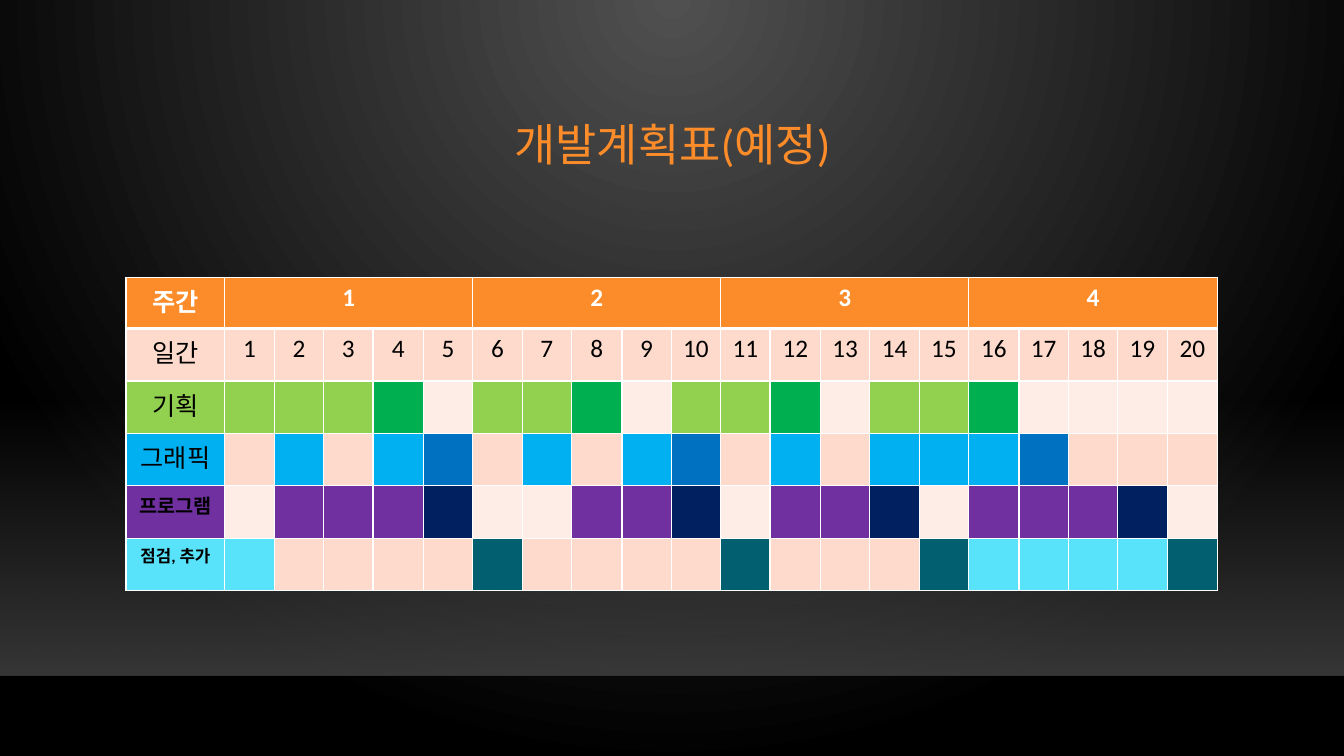
from lxml.etree import SubElement
from pptx import Presentation
from pptx.dml.color import RGBColor
from pptx.enum.shapes import MSO_CONNECTOR, MSO_SHAPE
from pptx.enum.text import MSO_ANCHOR, PP_ALIGN
from pptx.oxml.ns import qn
from pptx.util import Pt

PX = 9144  # 100 px to the inch
W, H = 1333, 750
FONT = "Calibri"
ORANGE, WHITE, BLACK = "FB8C29", "FFFFFF", "000000"
BANDS = ["FDDACB", "FEEDE7"]
DAYS, WEEKS = 20, 4
# label, size, bold, work colour, milestone colour, days (o work, # milestone)
TASKS = [
    ("기획", 18, False, "92D050", "00B050", "ooo#.oo#.oo#.oo#...."),
    ("그래픽", 18, False, "00B0F0", "0070C0", ".o.o#.o.o#.o.ooo#..."),
    ("프로그램", 14, True, "7030A0", "002060", ".ooo#..oo#.oo#.ooo#."),
    ("점검, 추가", 12, True, "58E3FB", "025F6F", "o....#....#...#oooo#"),
]


def px(*values):
    return [v * PX for v in values]


def rgb(hex_color):
    return RGBColor.from_string(hex_color)


def split(total, n):
    """Share a whole length among n parts, each a whole number."""
    return [total * (i + 1) // n - total * i // n for i in range(n)]


def set_gradient(fill, colors):
    fill.gradient()
    for stop, color in zip(fill.gradient_stops, colors):
        stop.color.rgb = rgb(color)


def set_alpha(element, percents):
    """Give the RGB colours in element these opacities, in order."""
    for clr, percent in zip(list(element.iter(qn("a:srgbClr"))), percents):
        SubElement(clr, qn("a:alpha"), val=str(percent * 1000))


def write(tf, text, size, color, bold=False):
    p = tf.paragraphs[0]
    p.text = text
    p.alignment = PP_ALIGN.CENTER
    p.font.name, p.font.size, p.font.bold = FONT, Pt(size), bold
    p.font.color.rgb = rgb(color)
    return p


def add_background(s):
    set_gradient(s.background.fill, ["505050", BLACK])
    lin = next(s.element.iter(qn("a:lin")))
    grad = lin.getparent()
    grad.remove(lin)
    circle = SubElement(grad, qn("a:path"), path="circle")
    SubElement(circle, qn("a:fillToRect"), l="43000", t="0", r="43000", b="100000")


def add_floor(s):
    sp = s.shapes.add_shape(MSO_SHAPE.RECTANGLE, *px(0, 396, W, 274))
    sp.shadow.inherit = False
    set_gradient(sp.fill, ["454545", "454545"])
    sp.fill.gradient_angle = 270
    set_alpha(sp.element, [0, 80])
    sp.line.fill.background()

    edge = s.shapes.add_connector(MSO_CONNECTOR.STRAIGHT, *px(0, 671, W, 671))
    edge.line.color.rgb = rgb("000001")
    edge.line.width = Pt(1)
    set_alpha(edge.element, [20])
    SubElement(edge.element.spPr, qn("a:effectLst"))


def add_title(s, text):
    tf = s.shapes.add_textbox(*px(159, 88, 1016, 115)).text_frame
    tf.word_wrap = True
    tf.vertical_anchor = MSO_ANCHOR.MIDDLE
    write(tf, text, 32, ORANGE).line_spacing = 0.9


def style_cell(cell, fill, bottom=1):
    """Draw white borders, then the fill, which must follow them."""
    tc_pr = cell._tc.get_or_add_tcPr()
    for side, width in (("L", 1), ("R", 1), ("T", 1), ("B", bottom)):
        ln = SubElement(tc_pr, qn(f"a:ln{side}"), w=str(Pt(width)))
        SubElement(SubElement(ln, qn("a:solidFill")), qn("a:srgbClr"), val=WHITE)
    cell.fill.solid()
    cell.fill.fore_color.rgb = rgb(fill)


def fill_header(table):
    for c in range(DAYS + 1):
        style_cell(table.cell(0, c), ORANGE, bottom=3)
        style_cell(table.cell(1, c), BANDS[0])
        write(table.cell(1, c).text_frame, str(c) if c else "일간", 18, BLACK)
    write(table.cell(0, 0).text_frame, "주간", 18, WHITE, True)
    span = DAYS // WEEKS
    for week in range(WEEKS):
        first = table.cell(0, 1 + week * span)
        first.merge(table.cell(0, (week + 1) * span))
        write(first.text_frame, str(week + 1), 18, WHITE, True)


def fill_task(table, row, task):
    label, size, bold, work, milestone, days = task
    colors = {"o": work, "#": milestone, ".": BANDS[(row + 1) % 2]}
    for c, mark in enumerate("o" + days):
        style_cell(table.cell(row, c), colors[mark])
    write(table.cell(row, 0).text_frame, label, size, BLACK, bold)


def add_schedule(s):
    rows = len(TASKS) + 2
    table = s.shapes.add_table(rows, DAYS + 1, *px(125, 275, 1083, 311)).table
    table.first_row = table.horz_banding = False
    for column, width in zip(table.columns, [98] + split(985, DAYS)):
        column.width = width * PX
    for row, height in zip(table.rows, split(311, rows)):
        row.height = height * PX
    fill_header(table)
    for row, task in enumerate(TASKS, start=2):
        fill_task(table, row, task)


def main():
    prs = Presentation()
    prs.slide_width, prs.slide_height = px(W, H)
    s = prs.slides.add_slide(prs.slide_layouts[6])
    add_background(s)
    add_floor(s)
    add_title(s, "개발계획표(예정)")
    add_schedule(s)
    prs.save("out.pptx")


if __name__ == "__main__":
    main()
